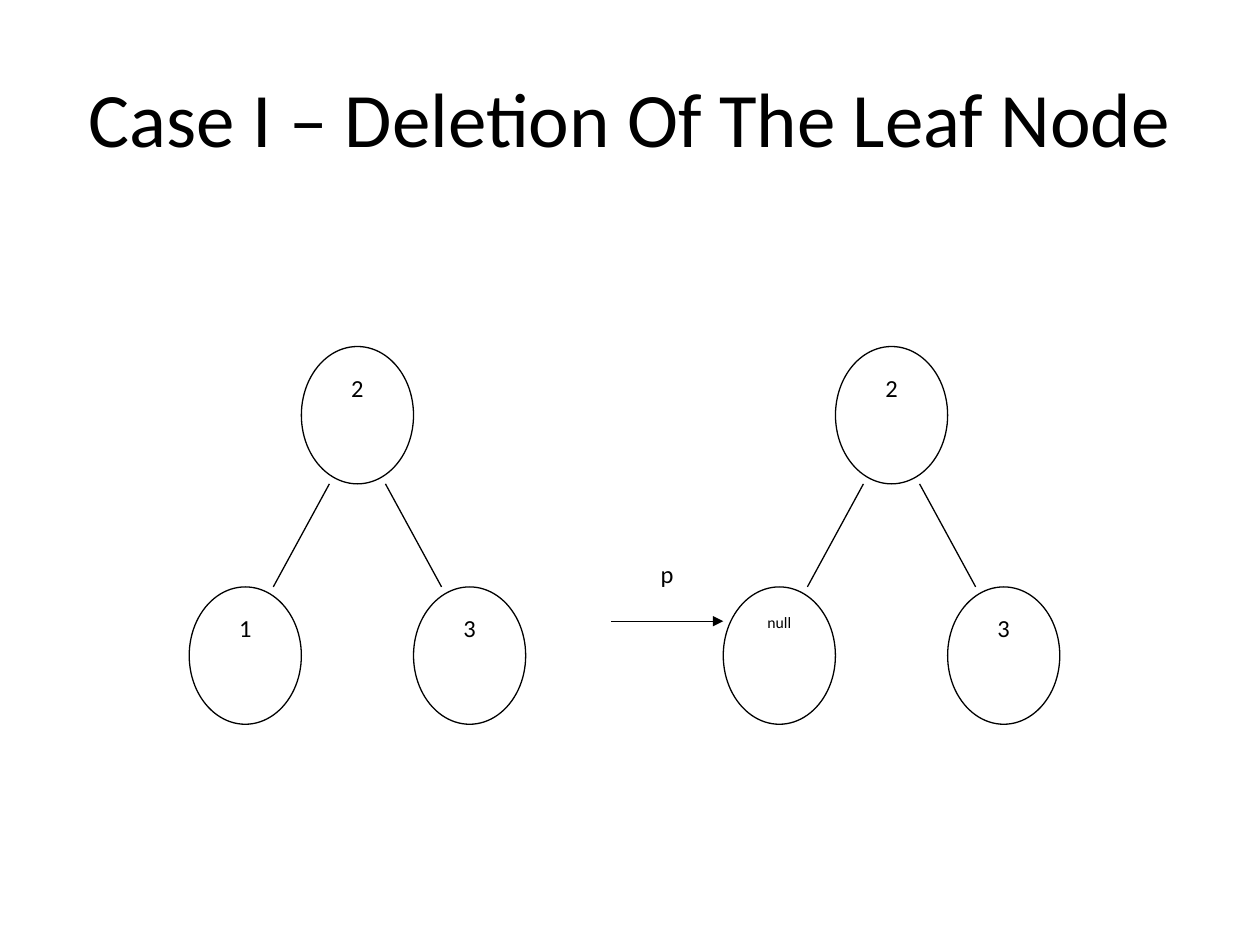
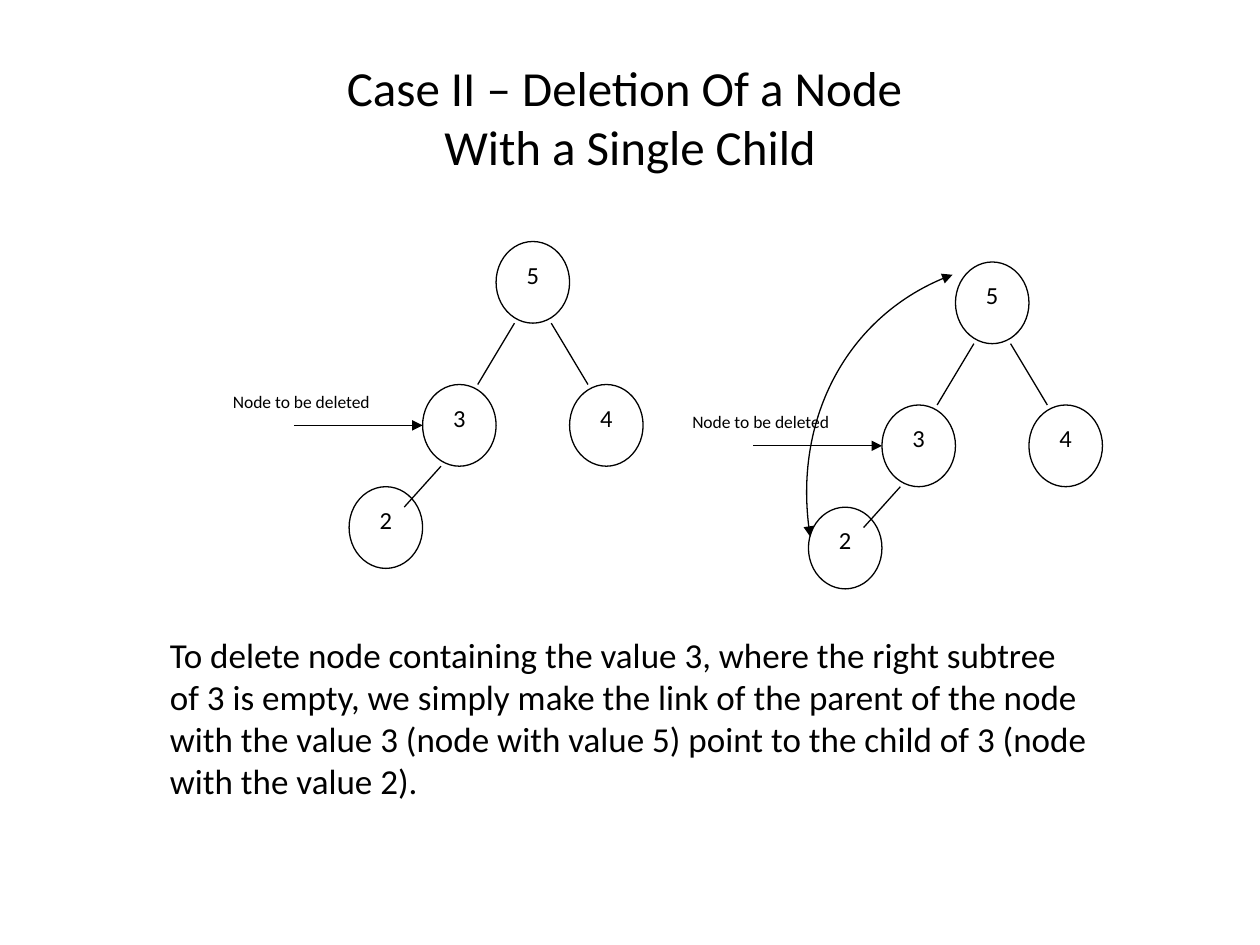
"""Builds two slides on deleting nodes from a binary search tree."""
from lxml import etree
from pptx import Presentation
from pptx.dml.color import RGBColor
from pptx.enum.shapes import MSO_CONNECTOR, MSO_SHAPE
from pptx.enum.text import MSO_ANCHOR, MSO_AUTO_SIZE, PP_ALIGN
from pptx.oxml.ns import qn
from pptx.util import Pt

STRAIGHT = MSO_CONNECTOR.STRAIGHT
ELLIPSE, RECTANGLE = MSO_SHAPE.OVAL, MSO_SHAPE.RECTANGLE
TOP, MIDDLE = MSO_ANCHOR.TOP, MSO_ANCHOR.MIDDLE
LEFT, CENTER = PP_ALIGN.LEFT, PP_ALIGN.CENTER
NO_FIT, GROW = MSO_AUTO_SIZE.NONE, MSO_AUTO_SIZE.SHAPE_TO_FIT_TEXT

COLORS = {"ink": "000000", "paper": "FFFFFF"}
FONT = "Calibri"
TITLE_ONLY = 5


class TreeDeck:
    """Holds the shared style and the slide being drawn."""

    def __init__(self):
        self.deck = Presentation()
        self.deck.slide_width, self.deck.slide_height = Pt(720), Pt(540)
        self.slide = None

    def color(self, name):
        """Return a named colour."""
        return RGBColor.from_string(COLORS[name])

    def set_text(self, frame, text, size, align=CENTER, anchor=TOP):
        """Fill a text frame with one formatted paragraph."""
        frame.word_wrap = True
        frame.vertical_anchor = anchor
        paragraph = frame.paragraphs[0]
        paragraph.text = text
        paragraph.alignment = align
        for run in paragraph.runs:
            run.font.size, run.font.name = Pt(size), FONT
            run.font.color.rgb = self.color("ink")
        for line_break in paragraph._p.findall(qn("a:br")):
            etree.SubElement(line_break, qn("a:rPr"), sz=str(size * 100))

    def outline(self, shape, *arrow_ends):
        """Draw a thin line, with arrowheads at the named ends."""
        shape.line.color.rgb = self.color("ink")
        shape.line.width = Pt(0.75)
        line = shape._element.spPr.find(qn("a:ln"))
        for end in arrow_ends:
            etree.SubElement(line, qn(f"a:{end}"), type="triangle")

    def add_slide(self, title, size):
        """Start a slide with its title."""
        self.slide = self.deck.slides.add_slide(self.deck.slide_layouts[TITLE_ONLY])
        heading = self.slide.shapes.title
        heading.left, heading.top = Pt(36), Pt(21.6)
        heading.width, heading.height = Pt(648), Pt(90)
        heading.text_frame.auto_size = NO_FIT
        self.set_text(heading.text_frame, title, size, anchor=MIDDLE)

    def box(self, kind, left, top, width, height, text, size, align=CENTER):
        """Add a white shape with text and no line."""
        shape = self.slide.shapes.add_shape(kind, Pt(left), Pt(top), Pt(width), Pt(height))
        shape.shadow.inherit = False
        shape.fill.solid()
        shape.fill.fore_color.rgb = self.color("paper")
        shape.line.fill.background()
        self.set_text(shape.text_frame, text, size, align)
        return shape

    def node(self, left, top, width, height, text, size=14):
        """Add a tree node."""
        self.outline(self.box(ELLIPSE, left, top, width, height, text, size))

    def edge(self, x1, y1, x2, y2, *arrow_ends):
        """Add a straight line between two points."""
        line = self.slide.shapes.add_connector(STRAIGHT, Pt(x1), Pt(y1), Pt(x2), Pt(y2))
        self.outline(line, *arrow_ends)
        etree.SubElement(line._element.spPr, qn("a:effectLst"))

    def tree(self, left, top, width, height, root, children, left_size=14):
        """Add a root with two children."""
        child_top = top + 1.75 * height
        self.node(left, top, width, height, root)
        for side, text, size in zip((-1, 1), children, (left_size, 14)):
            child_left = left + side * width
            self.node(child_left, child_top, width, height, text, size)
            self.edge(left + (0.5 + side / 4) * width, top + height,
                      child_left + (0.5 - side / 4) * width, child_top)

    def curve(self, start, *controls_and_end):
        """Add a cubic curve with an arrowhead at both ends."""
        points = [(Pt(x), Pt(y)) for x, y in controls_and_end]
        builder = self.slide.shapes.build_freeform(Pt(start[0]), Pt(start[1]))
        builder.add_line_segments(points, close=False)
        shape = builder.convert_to_shape()
        shape.shadow.inherit = False
        shape.fill.background()
        self.outline(shape, "headEnd", "tailEnd")
        route = next(shape._element.iter(qn("a:path")))
        segments = route.findall(qn("a:lnTo"))
        bezier = etree.SubElement(route, qn("a:cubicBezTo"))
        for segment in segments:
            bezier.append(segment[0])
            route.remove(segment)

    def paragraph(self, left, top, width, height, text, size):
        """Add a block of running text."""
        block = self.slide.shapes.add_textbox(Pt(left), Pt(top), Pt(width), Pt(height))
        block.text_frame.auto_size = GROW
        self.set_text(block.text_frame, text, size, LEFT)

    def leaf_case(self):
        """Draw the deletion of a leaf."""
        self.add_slide("Case I – Deletion Of The Leaf Node", 44)
        width, height, top = 64.1, 78.5, 198
        before, after = 172.2, 477.4
        deleted_left, deleted_top = after - width, top + 1.75 * height
        self.box(RECTANGLE, deleted_left - 1.25 * width, deleted_top - height / 4,
                 1.5 * width, 0.75 * height, "p", 14)
        self.tree(before, top, width, height, "2", ("1", "3"))
        self.tree(after, top, width, height, "2", ("null", "3"), left_size=9)
        pointer_y = deleted_top + height / 4
        self.edge(deleted_left - width, pointer_y, deleted_left, pointer_y, "tailEnd")

    def single_child_tree(self, left, top):
        """Draw a tree whose left child has one child and is marked for deletion."""
        width, height = 42, 46.7
        marked_left, marked_top = left - width, top + 1.75 * height
        self.box(RECTANGLE, marked_left - 2.75 * width, marked_top, 3 * width,
                 height / 2, "Node to be deleted", 10, LEFT)
        self.tree(left, top, width, height, "5", ("3", "4"))
        leaf_left, leaf_top = marked_left - width, marked_top + 1.25 * height
        self.node(leaf_left, leaf_top, width, height, "2")
        self.edge(marked_left + width / 4, marked_top + height,
                  leaf_left + 0.75 * width, leaf_top + height / 4)
        pointer_y = marked_top + height / 2
        self.edge(marked_left - 1.75 * width, pointer_y, marked_left, pointer_y, "tailEnd")

    def single_child_case(self):
        """Draw the deletion of a node with one child."""
        self.add_slide("Case II – Deletion Of a Node \nWith a Single Child", 28)
        self.single_child_tree(283.5, 138)
        self.single_child_tree(546, 149.7)
        self.curve((463, 306.7), (452.2, 241.2), (486.7, 177.8), (544.3, 157))
        self.paragraph(
            90, 358.6, 540, 103,
            "To delete node containing the value 3, where the right subtree of 3 is "
            "empty, we simply make the link of the parent of the node with the value 3 "
            "(node with value 5) point to the child of 3 (node with the value 2).", 20)


def main():
    """Build and save the slides."""
    builder = TreeDeck()
    builder.leaf_case()
    builder.single_child_case()
    builder.deck.save("out.pptx")


if __name__ == "__main__":
    main()
